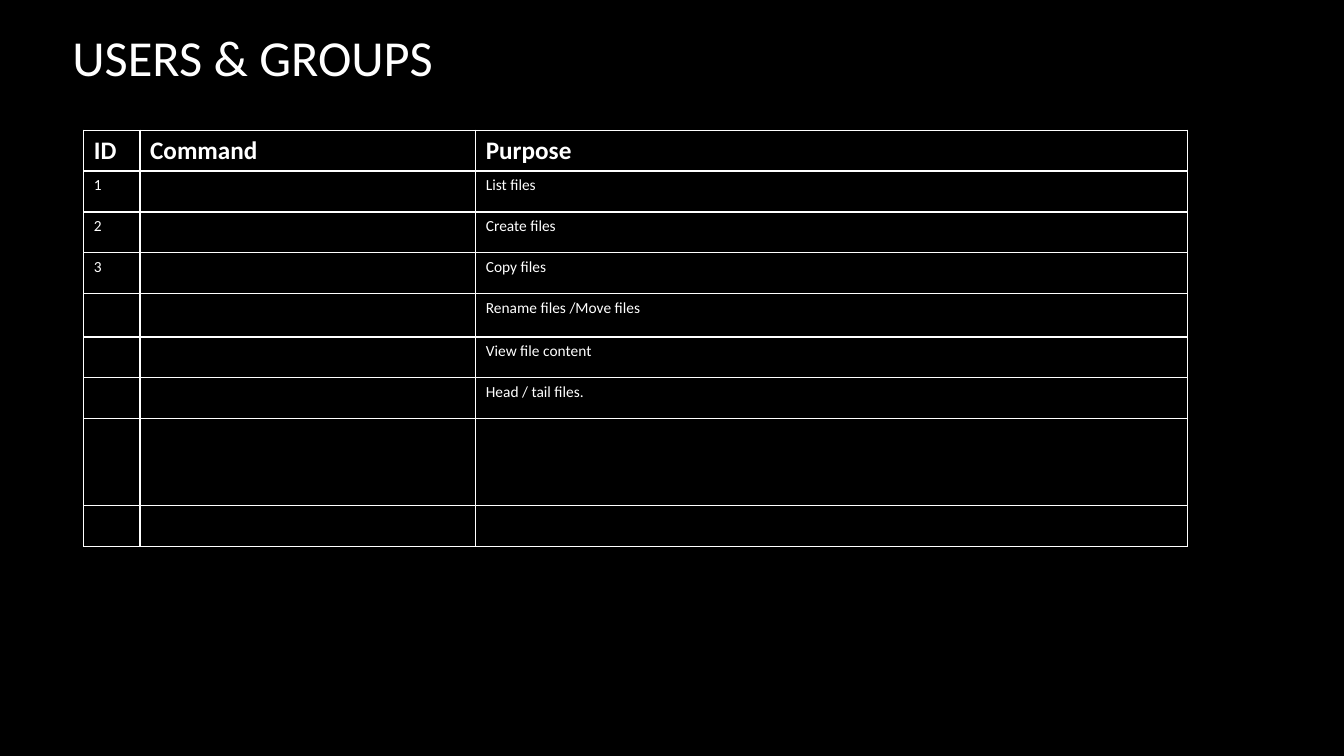
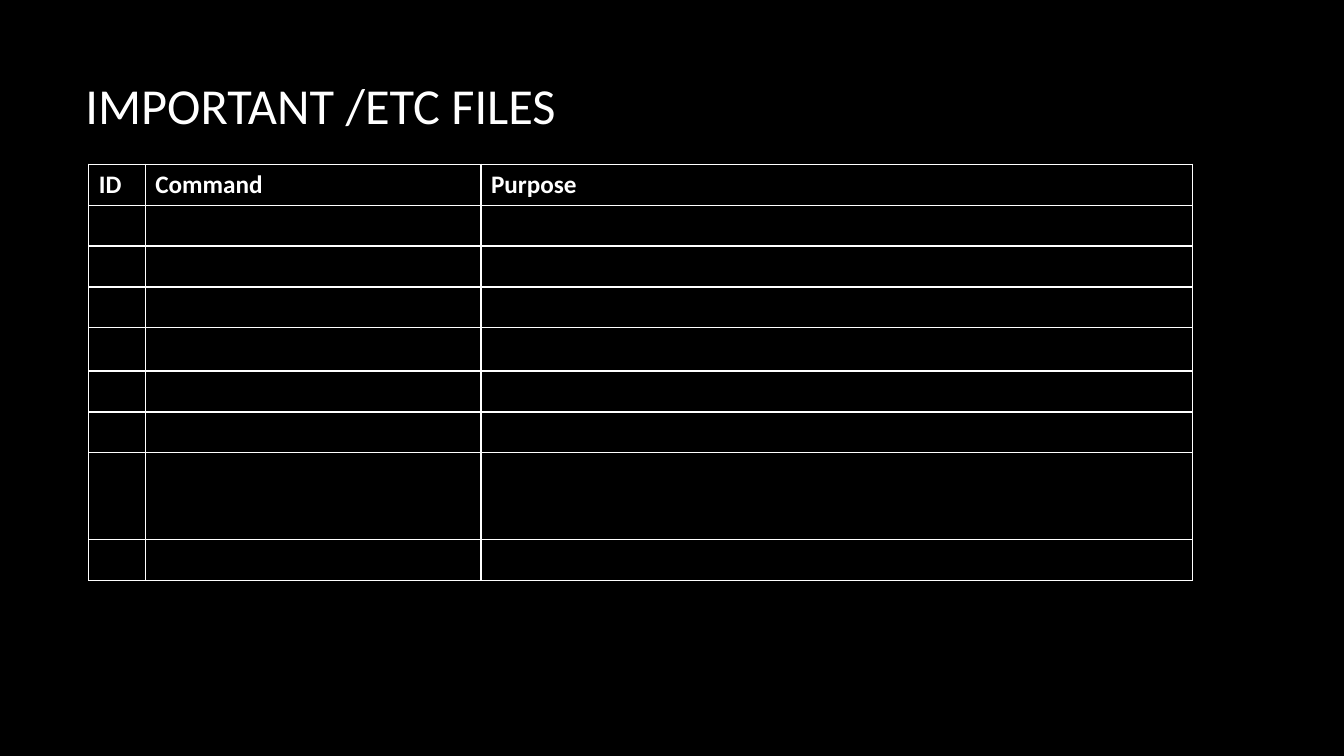
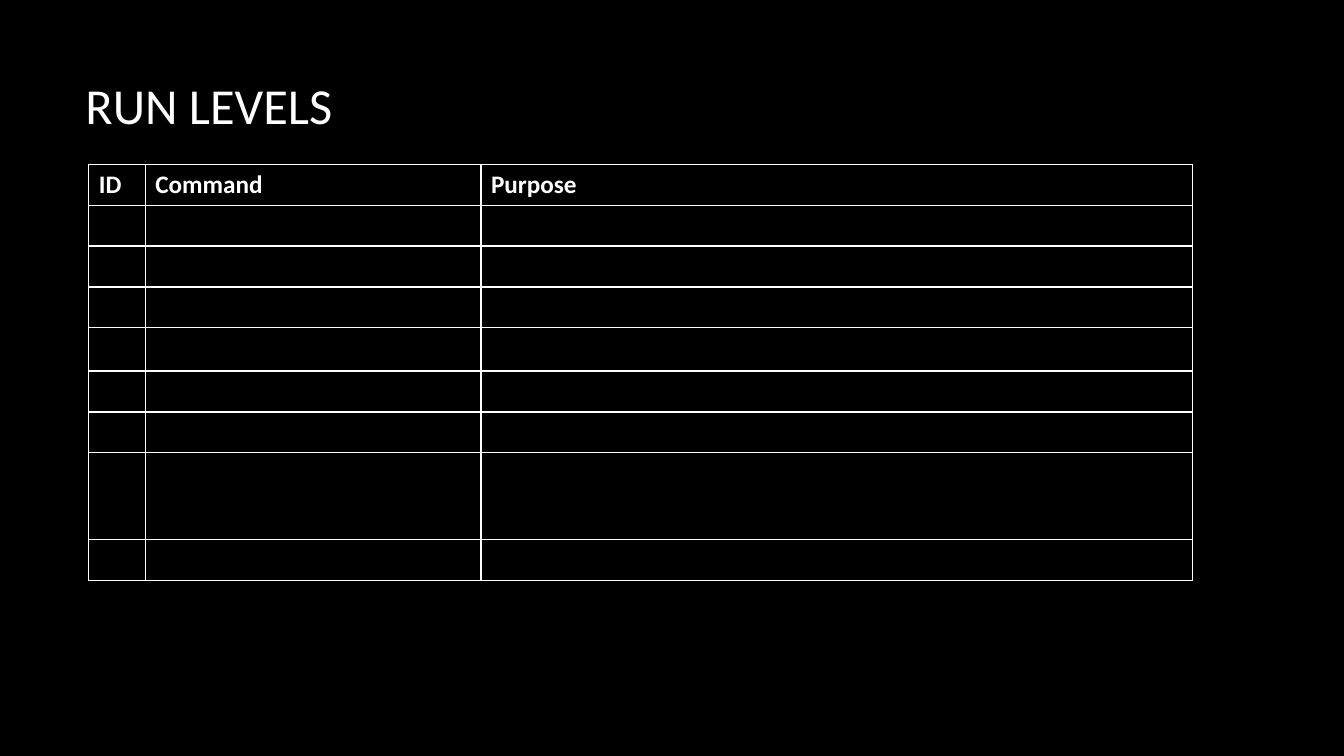
from lxml import etree
from pptx import Presentation
from pptx.dml.color import RGBColor
from pptx.enum.text import MSO_ANCHOR, PP_ALIGN
from pptx.oxml.ns import qn
from pptx.util import Cm, Pt

BLACK, WHITE = "000000", "FFFFFF"
FONT = "Calibri"
COLUMN_WIDTHS = [1.42, 8.46, 17.93]
ROW_HEIGHTS = [1.03] * 4 + [1.09] + [1.03] * 2 + [2.19, 1.03]
HEADINGS = ("ID", "Command", "Purpose")
FILE_TASKS = [
    ("1", "", "List files"),
    ("2", "", "Create files"),
    ("3", "", "Copy files"),
    ("", "", "Rename files /Move files"),
    ("", "", "View file content"),
    ("", "", "Head / tail files."),
]
# title, title box (left, top, width, height), table corner (left, top), filled rows
SLIDES = [
    ("USERS & GROUPS", (1.57, 0.51, 28.14, 1.8), (2.11, 3.28), FILE_TASKS),
    ("IMPORTANT /ETC FILES", (1.9, 1.7, 28.14, 1.85), (2.24, 4.14), []),
    ("RUN LEVELS", (1.9, 1.7, 28.14, 1.85), (2.24, 4.14), []),
]


def style_text(paragraph, size, bold=False):
    font = paragraph.font
    font.name, font.size, font.bold = FONT, Pt(size), bold
    font.color.rgb = RGBColor.from_string(WHITE)
    paragraph.alignment = PP_ALIGN.LEFT


def add_borders(cell, color):
    properties = cell._tc.get_or_add_tcPr()
    for side in ("a:lnL", "a:lnR", "a:lnT", "a:lnB"):
        line = etree.SubElement(properties, qn(side), w=str(Pt(1)))
        fill = etree.SubElement(line, qn("a:solidFill"))
        etree.SubElement(fill, qn("a:srgbClr"), val=color)


prs = Presentation()
prs.slide_width, prs.slide_height = Cm(33.87), Cm(19.05)
backdrop = prs.slide_master.background.fill
backdrop.solid()
backdrop.fore_color.rgb = RGBColor.from_string(BLACK)

for heading, title_box, corner, tasks in SLIDES:
    slide = prs.slides.add_slide(prs.slide_layouts[5])
    title = slide.shapes.title
    title.left, title.top, title.width, title.height = map(Cm, title_box)
    title.text_frame.text = heading
    title.text_frame.vertical_anchor = MSO_ANCHOR.MIDDLE
    style_text(title.text_frame.paragraphs[0], 36)

    left, top = corner
    commands = slide.shapes.add_table(
        len(ROW_HEIGHTS), len(COLUMN_WIDTHS), Cm(left), Cm(top),
        Cm(sum(COLUMN_WIDTHS)), Cm(sum(ROW_HEIGHTS))).table
    commands.horz_banding = False
    for column, width in zip(commands.columns, COLUMN_WIDTHS):
        column.width = Cm(width)
    for row, height in zip(commands.rows, ROW_HEIGHTS):
        row.height = Cm(height)
        for cell in row.cells:
            add_borders(cell, WHITE)
            cell.fill.background()

    for r, texts in enumerate([HEADINGS, *tasks]):
        for c, text in enumerate(texts):
            if text:
                cell = commands.cell(r, c)
                cell.text = text
                style_text(cell.text_frame.paragraphs[0], 11 if r else 18, bold=r == 0)

prs.save("out.pptx")
